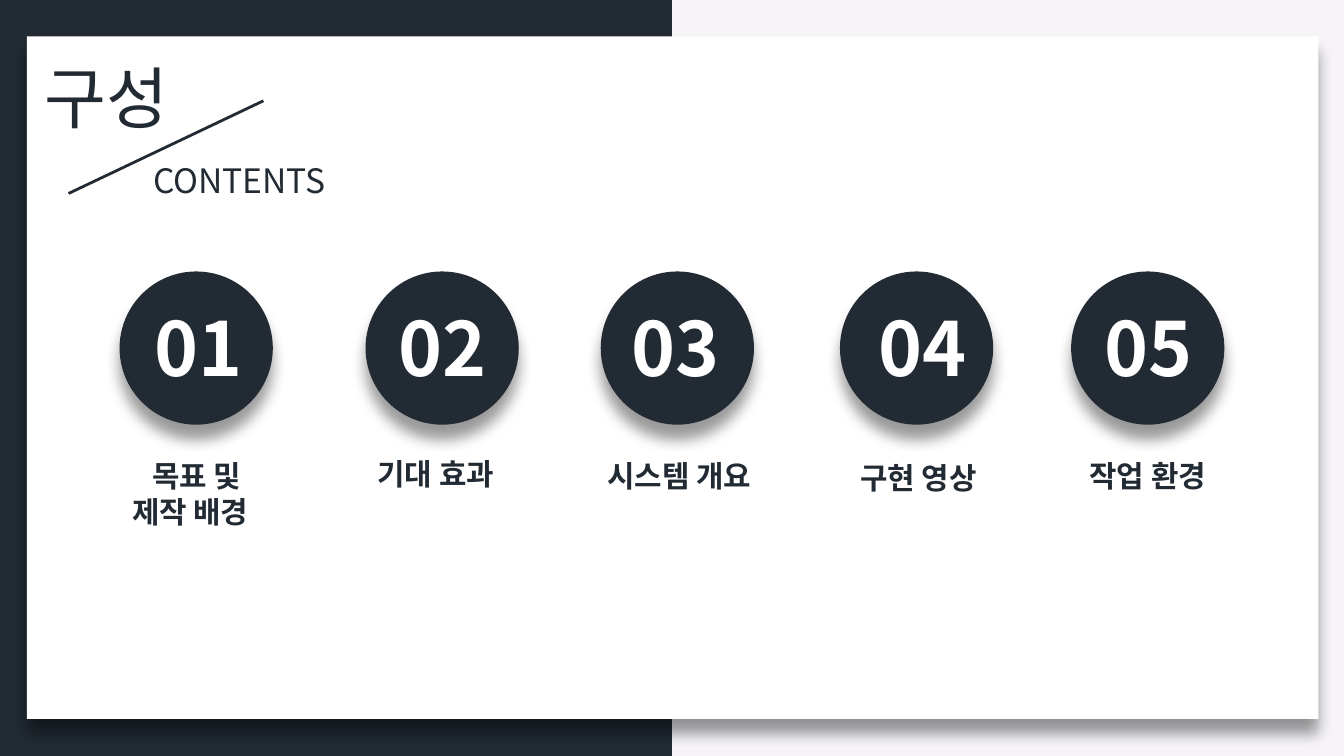
from lxml.etree import SubElement
from pptx import Presentation
from pptx.dml.color import RGBColor
from pptx.enum.shapes import MSO_CONNECTOR as CONNECTOR, MSO_SHAPE as SHAPE
from pptx.enum.text import MSO_ANCHOR as ANCHOR, PP_ALIGN as ALIGN
from pptx.oxml.ns import qn
from pptx.util import Inches, Pt

NAVY, WHITE, PALE = "222B34", "FFFFFF", "F6F4F7"
FONT = "Noto Sans CJK KR"


def add_panel(kind, box, color, shadow=True):
    panel = slide.shapes.add_shape(kind, *map(Inches, box))
    panel.fill.solid()
    panel.fill.fore_color.rgb = RGBColor.from_string(color)
    panel.line.fill.background()
    panel.shadow.inherit = False
    if shadow:
        effects = panel._element.spPr.find(qn("a:effectLst"))
        outer = SubElement(effects, qn("a:outerShdw"), blurRad=str(Pt(8)),
                           dist=str(Pt(8)), dir="5400000", algn="t", rotWithShape="0")
        black = SubElement(outer, qn("a:srgbClr"), val="000000")
        SubElement(black, qn("a:alpha"), val="40000")


def write(holder, text, size, color=NAVY, bold=False, align=ALIGN.CENTER):
    frame = holder.text_frame
    frame.text = text
    layout = dict(word_wrap=True, vertical_anchor=ANCHOR.TOP,
                  margin_left=Inches(0.1), margin_right=Inches(0.1),
                  margin_top=Inches(0.05), margin_bottom=Inches(0.05))
    for key, value in layout.items():
        setattr(frame, key, value)
    for paragraph in frame.paragraphs:
        paragraph.alignment = align
        for run in paragraph.runs:
            for key, value in dict(name=FONT, size=Pt(size), bold=bold).items():
                setattr(run.font, key, value)
            run.font.color.rgb = RGBColor.from_string(color)
            # Korean glyphs take the East Asian typeface
            SubElement(run._r.get_or_add_rPr(), qn("a:ea"), typeface=FONT)
    return frame


deck = Presentation()
deck.slide_width, deck.slide_height = Inches(10), Inches(5.625)
slide = deck.slides.add_slide(deck.slide_layouts[5])

# Two-tone background and white card
slide.background.fill.solid()
slide.background.fill.fore_color.rgb = RGBColor.from_string(PALE)
add_panel(SHAPE.RECTANGLE, (0, 0, 5, 5.625), NAVY, shadow=False)
add_panel(SHAPE.RECTANGLE, (0.2, 0.27, 9.61, 5.08), WHITE)

# Heading, brought in front of the card
heading = slide.shapes.title
for key, value in dict(left=0.23, top=0.37, width=1.21, height=0.71).items():
    setattr(heading, key, Inches(value))
write(heading, "구성", 36, align=ALIGN.LEFT)
slide.shapes._spTree.append(heading._element)

# Slanted divider and subheading
divider = slide.shapes.add_connector(
    CONNECTOR.STRAIGHT, *map(Inches, (1.96, 0.75, 0.51, 1.44)))
divider.line.color.rgb = RGBColor.from_string(NAVY)
divider.line.width = Pt(1.5)
SubElement(divider._element.spPr, qn("a:effectLst"))
subheading = slide.shapes.add_textbox(*map(Inches, (1.04, 1.14, 1.68, 0.4)))
write(subheading, "CONTENTS", 18, align=ALIGN.LEFT)

# Sections: circle left, number left, label box, label
sections = [
    (0.89, 1.01, (0.74, 3.36, 1.45, 0.64), "목표 및\n제작 배경"),
    (2.72, 2.83, (2.66, 3.34, 1.45, 0.4), "기대 효과"),
    (4.47, 4.56, (4.26, 3.36, 1.59, 0.37), "시스템 개요"),
    (6.25, 6.4, (6.08, 3.37, 1.51, 0.37), "구현 영상"),
    (7.97, 8.08, (7.83, 3.36, 1.42, 0.37), "작업 환경"),
]
for index, (circle_left, number_left, label_box, topic) in enumerate(sections, 1):
    add_panel(SHAPE.OVAL, (circle_left, 2.02, 1.14, 1.14), NAVY)
    number = slide.shapes.add_textbox(*map(Inches, (number_left, 2.2, 0.93, 0.77)))
    write(number, f"{index:02}", 40, WHITE, bold=True)
    label = slide.shapes.add_textbox(*map(Inches, label_box))
    align = ALIGN.LEFT if index == 2 else ALIGN.CENTER
    label_frame = write(label, topic, 16, bold=True, align=align)
    if index == 1:  # second line sits slightly to the left
        label_frame.paragraphs[1]._p.get_or_add_pPr().set("marR", str(Inches(0.1)))
    if index == 2:
        label_frame.margin_left = Inches(0.15)

deck.save("out.pptx")
